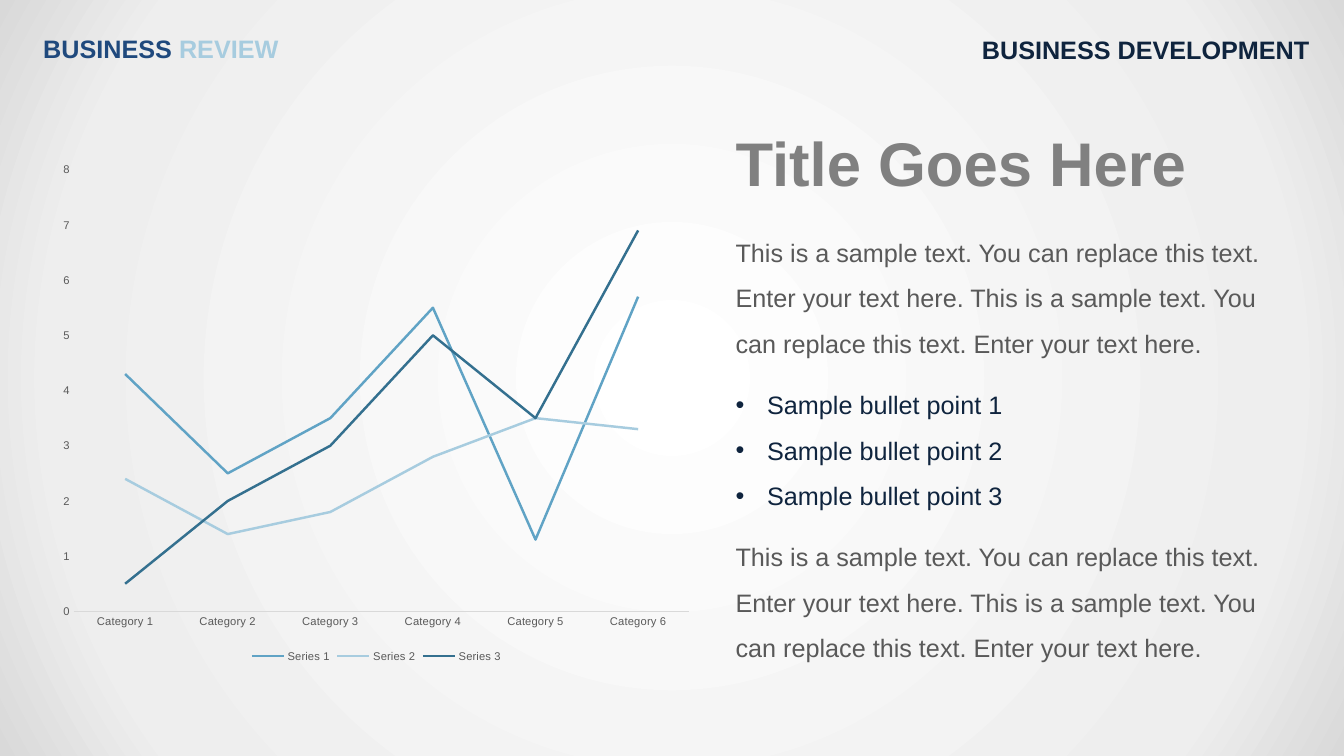
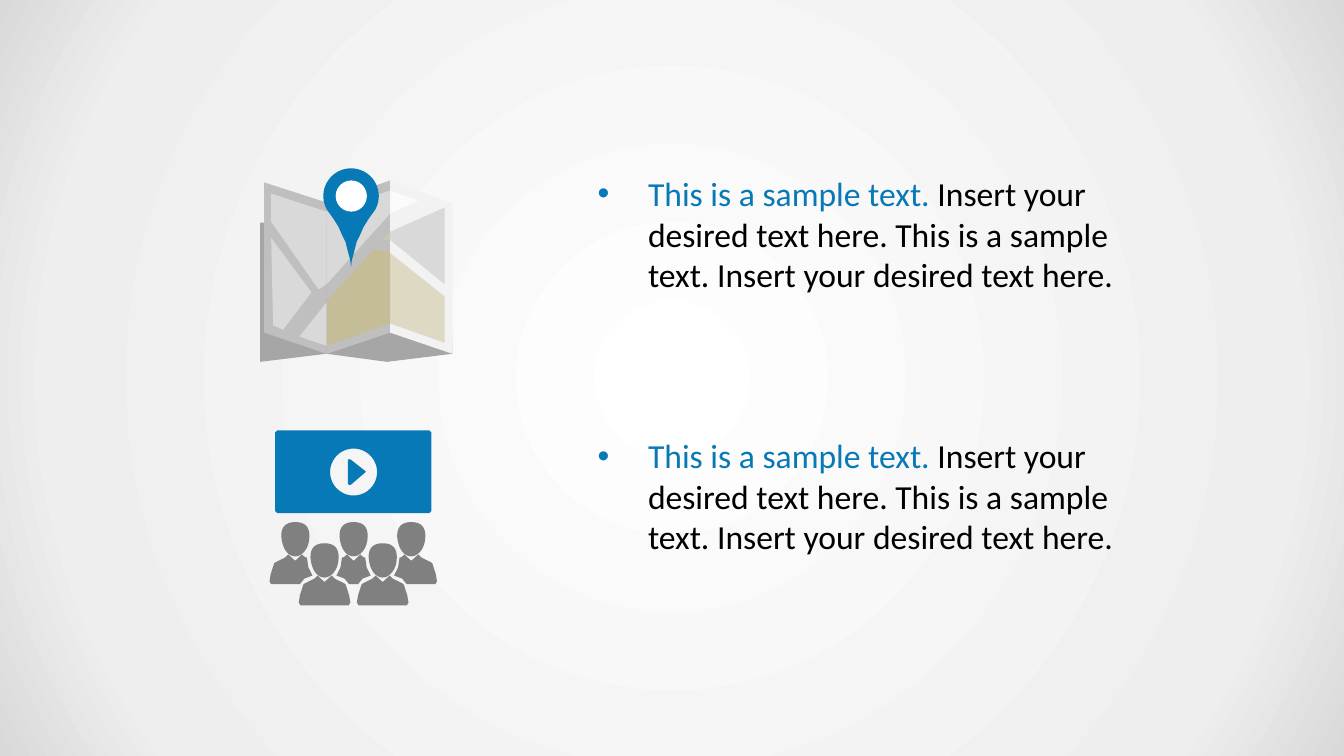
"""Build a two-slide business review deck with a line chart and two icons."""
import dataclasses
import math
import typing

import pptx
import pptx.chart.data
import pptx.dml.color
import pptx.enum.chart
import pptx.enum.shapes
import pptx.enum.text
import pptx.oxml
import pptx.oxml.ns
import pptx.util

Pt = pptx.util.Pt
RGBColor = pptx.dml.color.RGBColor
Align = pptx.enum.text.PP_ALIGN
Anchor = pptx.enum.text.MSO_ANCHOR
Point = tuple[float, float]
Outline = list[Point]

NAVY = RGBColor(0x0F, 0x24, 0x3E)
DARK_BLUE = RGBColor(0x1F, 0x49, 0x7D)
BRIGHT_BLUE = RGBColor(0x07, 0x79, 0xB7)
MID_BLUE = RGBColor(0x60, 0xA3, 0xC5)
PALE_BLUE = RGBColor(0xA7, 0xCC, 0xDF)
DEEP_BLUE = RGBColor(0x34, 0x70, 0x8F)
BLACK = RGBColor(0x00, 0x00, 0x00)
WHITE = RGBColor(0xFF, 0xFF, 0xFF)
TEXT_GRAY = RGBColor(0x59, 0x59, 0x59)
MID_GRAY = RGBColor(0x80, 0x80, 0x80)
SHADE_GRAY = RGBColor(0xA6, 0xA6, 0xA6)
FOLD_GRAY = RGBColor(0xBF, 0xBF, 0xBF)
LIGHT_GRAY = RGBColor(0xD9, 0xD9, 0xD9)
EDGE_GRAY = RGBColor(0xEE, 0xEE, 0xEE)
PAPER = RGBColor(0xF2, 0xF2, 0xF2)
IVORY = RGBColor(0xFC, 0xFB, 0xF9)
SAND = RGBColor(0xDD, 0xD9, 0xC3)
DARK_SAND = RGBColor(0xC4, 0xBD, 0x97)
SAGE = RGBColor(0xC2, 0xC9, 0xB5)

BACKGROUND_STOPS = ((0, WHITE), (81, EDGE_GRAY), (100, LIGHT_GRAY))
ICON_UNIT = Pt(0.72)
COLUMN_LEFT = 518.4
BODY_COPY = "This is a sample text. You can replace this text. Enter your text here. " * 2
LEAD_COPY = "This is a sample text. "
REST_COPY = "Insert your desired text here. This is a sample text. Insert your desired text here."


class Span(typing.NamedTuple):
    text: str
    color: RGBColor


class Frame(typing.NamedTuple):
    left: float
    top: float
    width: float
    height: float


class Series(typing.NamedTuple):
    name: str
    values: tuple[float, ...]
    color: RGBColor


@dataclasses.dataclass(frozen=True)
class Patch:
    color: RGBColor
    outline: Outline


@dataclasses.dataclass(frozen=True)
class Person:
    center: float
    top: float
    left_half: Outline
    right_half: Outline


SERIES = (
    Series("Series 1", (4.3, 2.5, 3.5, 5.5, 1.3, 5.7), MID_BLUE),
    Series("Series 2", (2.4, 1.4, 1.8, 2.8, 3.5, 3.3), PALE_BLUE),
    Series("Series 3", (0.5, 2, 3, 5, 3.5, 6.9), DEEP_BLUE),
)

MAP_PATCHES = (
    Patch(SHADE_GRAY, [(445, 211), (449, 351), (384, 359), (324, 351), (258, 359), (258, 221)]),
    Patch(FOLD_GRAY, [(387, 179), (387, 330), (324, 351), (324, 201)]),
    Patch(FOLD_GRAY, [(262, 181), (324, 201), (324, 351), (262, 330)]),
    Patch(PAPER, [(387, 179), (449, 202), (449, 351), (387, 330)]),
    Patch(LIGHT_GRAY, [(269, 236), (309, 290), (281, 327), (271, 323)]),
    Patch(LIGHT_GRAY, [(269, 192), (324, 210), (324, 282), (316, 287), (269, 220)]),
    Patch(IVORY, [(387, 189), (415, 199), (387, 212)]),
    Patch(LIGHT_GRAY, [(387, 189), (387, 212), (324, 282), (324, 210)]),
    Patch(SAND, [(387, 251), (441, 294), (441, 340), (387, 321)]),
    Patch(LIGHT_GRAY, [(324, 300), (324, 343), (297, 334)]),
    Patch(DARK_SAND, [(371, 247), (387, 251), (387, 321), (324, 343), (324, 299)]),
    Patch(SAGE, [(387, 230), (387, 238), (379, 238)]),
    Patch(LIGHT_GRAY, [(441, 206), (441, 282), (387, 238), (387, 230)]),
)

PIN_TAIL = [(17.5, 217), (12.5, 225), (8.5, 234), (5.5, 240), (2.5, 252), (0.8, 258)]
HEAD_CURVES = (
    ((-14, 14), (-13, 27), (-7, 34), (0, 34)),
    ((0, 34), (6, 34), (14, 27), (14, 14)),
    ((14, 14), (14, 5), (10, 0), (0, 0)),
    ((0, 0), (-10, 0), (-14, 5), (-14, 14)),
)
OPEN_HALF = [(0.5, 38), (7, 32), (10, 35), (18, 39), (20, 40), (21, 41), (24.4, 51.5), (25.6, 58.7), (24, 61.5)]
TUCKED_HALF = [(0.5, 38), (6.5, 32), (10, 35), (11.5, 35), (13, 45), (17, 53), (9, 56), (4.5, 61.5)]
PEOPLE = (
    Person(293, 518, OPEN_HALF, TUCKED_HALF),
    Person(350.8, 518, TUCKED_HALF, TUCKED_HALF),
    Person(408, 518, TUCKED_HALF, OPEN_HALF),
    Person(322, 539, OPEN_HALF, OPEN_HALF),
    Person(379.7, 539, OPEN_HALF, OPEN_HALF),
)
SCREEN = [(275, 427), (426, 427), (428, 429), (428, 507), (426, 509), (275, 509), (273, 507), (273, 429)]
PLAY_MARK = [(345, 457), (346, 455.5), (348, 456), (362, 467), (363, 468), (362, 469), (348, 481), (346, 481), (345, 479)]


def set_background(deck) -> None:
    """Give the slide master the shared radial gradient."""
    deck.slide_master.background.fill.gradient()
    gradient = next(deck.slide_master.element.iter(pptx.oxml.ns.qn("a:gradFill")))
    stops = "".join(
        f'<a:gs pos="{position * 1000}"><a:srgbClr val="{color}"/></a:gs>'
        for position, color in BACKGROUND_STOPS
    )
    radial = pptx.oxml.parse_xml(
        f'<a:gradFill {pptx.oxml.ns.nsdecls("a")} rotWithShape="1"><a:gsLst>{stops}</a:gsLst>'
        '<a:path path="circle"><a:fillToRect l="50000" t="50000" r="50000" b="50000"/></a:path></a:gradFill>'
    )
    gradient.getparent().replace(gradient, radial)


def add_bullet(para, indent: float) -> None:
    """Give a paragraph a round bullet and a hanging indent."""
    properties = para._p.get_or_add_pPr()
    properties.set("marL", str(Pt(indent)))
    properties.set("indent", str(-Pt(indent)))
    declaration = pptx.oxml.ns.nsdecls("a")
    properties.append(pptx.oxml.parse_xml(f'<a:buFont {declaration} typeface="Arial"/>'))
    properties.append(pptx.oxml.parse_xml(f'<a:buChar {declaration} char="•"/>'))


def add_text(page, frame: Frame, paragraphs: list[list[Span]], *, font: str = "Arial",
             size: float = 18, bold: bool = False, align=Align.LEFT, anchor=Anchor.TOP,
             line_spacing: float = 1.0, bullet_indent: float = 0) -> None:
    """Add a wrapped text box holding paragraphs of coloured spans."""
    box = page.shapes.add_textbox(*map(Pt, frame))
    box.text_frame.word_wrap = True
    box.text_frame.vertical_anchor = anchor
    for index, spans in enumerate(paragraphs):
        para = box.text_frame.add_paragraph() if index else box.text_frame.paragraphs[0]
        para.alignment = align
        para.line_spacing = line_spacing
        if bullet_indent:
            add_bullet(para, bullet_indent)
        for span in spans:
            run = para.add_run()
            run.text = span.text
            run.font.name = font
            run.font.size = Pt(size)
            run.font.bold = bold
            run.font.color.rgb = span.color


def paint(shape, color: RGBColor) -> None:
    """Fill a shape with one colour, without outline or shadow."""
    shape.fill.solid()
    shape.fill.fore_color.rgb = color
    shape.line.fill.background()
    shape.shadow.inherit = False


def add_outline(page, color: RGBColor, *contours: Outline) -> None:
    """Draw closed contours, given in icon units, as one freeform."""
    scaled = [[(x * ICON_UNIT, y * ICON_UNIT) for x, y in contour] for contour in contours]
    builder = page.shapes.build_freeform(*scaled[0][0], scale=1.0)
    for index, contour in enumerate(scaled):
        if index:
            builder.move_to(*contour[0])
        builder.add_line_segments(contour[1:], close=True)
    paint(builder.convert_to_shape(), color)


def arc(center: Point, radius: float, start: float, end: float, steps: int = 48) -> Outline:
    """Return points on an arc between two angles in degrees."""
    angles = [math.radians(start + (end - start) * step / steps) for step in range(steps + 1)]
    return [(center[0] + radius * math.cos(a), center[1] + radius * math.sin(a)) for a in angles]


def curve(points: tuple[Point, ...], steps: int = 8) -> Outline:
    """Return points along a cubic curve, leaving out its end."""
    def place(t: float) -> Point:
        weights = ((1 - t) ** 3, 3 * t * (1 - t) ** 2, 3 * t * t * (1 - t), t ** 3)
        return (sum(w * p[0] for w, p in zip(weights, points)),
                sum(w * p[1] for w, p in zip(weights, points)))
    return [place(step / steps) for step in range(steps)]


def mirror(points: Outline) -> Outline:
    """Reflect points about the vertical axis, in reverse order."""
    return [(-x, y) for x, y in reversed(points)]


def shift(points: Outline, across: float, down: float) -> Outline:
    """Move points by an offset."""
    return [(x + across, y + down) for x, y in points]


def add_map_icon(page) -> None:
    """Draw the folded map with its location pin."""
    for patch in MAP_PATCHES:
        add_outline(page, patch.color, patch.outline)
    tail = shift(PIN_TAIL + [(0, 265)] + mirror(PIN_TAIL), 348.3, 0)
    add_outline(page, BRIGHT_BLUE, arc((348.3, 194.5), 27.5, 150, 390) + tail)
    eye = page.shapes.add_shape(pptx.enum.shapes.MSO_SHAPE.OVAL,
                                *(round(value * ICON_UNIT) for value in (333, 179, 31, 31)))
    paint(eye, WHITE)


def add_audience_icon(page) -> None:
    """Draw the audience in front of a video screen."""
    head = [point for points in HEAD_CURVES for point in curve(points)]
    for person in PEOPLE:
        body = mirror(person.left_half) + person.right_half
        for outline in (body, head):
            add_outline(page, MID_GRAY, shift(outline, person.center, person.top))
    add_outline(page, BRIGHT_BLUE, PLAY_MARK)
    add_outline(page, BRIGHT_BLUE, SCREEN, arc((350.8, 468.3), 23.3, 360, 0))


def style_font(font, color: RGBColor = TEXT_GRAY) -> None:
    """Set the small chart lettering."""
    font.name = "Arial"
    font.size = Pt(8)
    font.color.rgb = color


def add_line_chart(page, frame: Frame) -> None:
    """Add the three-series line chart."""
    data = pptx.chart.data.CategoryChartData()
    data.categories = [f"Category {number}" for number in range(1, 7)]
    for series in SERIES:
        data.add_series(series.name, series.values)
    kinds = pptx.enum.chart
    chart = page.shapes.add_chart(kinds.XL_CHART_TYPE.LINE, *map(Pt, frame), data).chart
    chart.has_title = False
    style_font(chart.font, BLACK)
    chart.has_legend = True
    chart.legend.position = kinds.XL_LEGEND_POSITION.BOTTOM
    chart.legend.include_in_layout = False
    style_font(chart.legend.font)
    for axis in (chart.category_axis, chart.value_axis):
        axis.has_major_gridlines = False
        axis.major_tick_mark = axis.minor_tick_mark = kinds.XL_TICK_MARK.NONE
        style_font(axis.tick_labels.font)
    chart.category_axis.format.line.color.rgb = LIGHT_GRAY
    chart.category_axis.format.line.width = Pt(0.75)
    chart.value_axis.format.line.fill.background()
    chart.value_axis.minimum_scale, chart.value_axis.maximum_scale = 0, 8
    chart.value_axis.major_unit = 1
    chart.plots[0].vary_by_categories = False
    for drawn, series in zip(chart.plots[0].series, SERIES):
        drawn.smooth = False
        drawn.format.line.color.rgb = series.color
        drawn.format.line.width = Pt(1.75)


def build_chart_page(page) -> None:
    """Fill the slide with the chart and its commentary."""
    add_line_chart(page, Frame(36, 109.4, 465.8, 366.5))
    add_text(page, Frame(COLUMN_LEFT, 85.7, 427.7, 60.5), [[Span("Title Goes Here", MID_GRAY)]], size=44, bold=True)
    for top, width in ((159.8, 410.4), (377.3, 417.6)):
        add_text(page, Frame(COLUMN_LEFT, top, width, 95), [[Span(BODY_COPY.strip(), TEXT_GRAY)]],
                 anchor=Anchor.MIDDLE, line_spacing=1.5)
    bullets = [[Span(f"Sample bullet point {number}", NAVY)] for number in range(1, 4)]
    add_text(page, Frame(COLUMN_LEFT, 268.6, 441.4, 95), bullets,
             anchor=Anchor.MIDDLE, line_spacing=1.5, bullet_indent=22.5)
    add_text(page, Frame(23.8, 20.2, 254.9, 28.8),
             [[Span("BUSINESS ", DARK_BLUE), Span("REVIEW", PALE_BLUE)]], bold=True)
    add_text(page, Frame(687.6, 21.2, 254.9, 28.8), [[Span("BUSINESS DEVELOPMENT", NAVY)]], bold=True, align=Align.RIGHT)


def build_icon_page(page) -> None:
    """Fill the slide with two icons and their texts."""
    for top in (120.2, 307.4):
        add_text(page, Frame(419.8, top, 388, 120.2), [[Span(LEAD_COPY, BRIGHT_BLUE), Span(REST_COPY, BLACK)]],
                 font="Calibri", size=24, bullet_indent=36)
    add_map_icon(page)
    add_audience_icon(page)


def main() -> None:
    """Create the deck and save it."""
    deck = pptx.Presentation()
    deck.slide_width, deck.slide_height = Pt(960), Pt(540)
    set_background(deck)
    for build in (build_chart_page, build_icon_page):
        build(deck.slides.add_slide(deck.slide_layouts[6]))
    deck.save("out.pptx")


if __name__ == "__main__":
    main()
